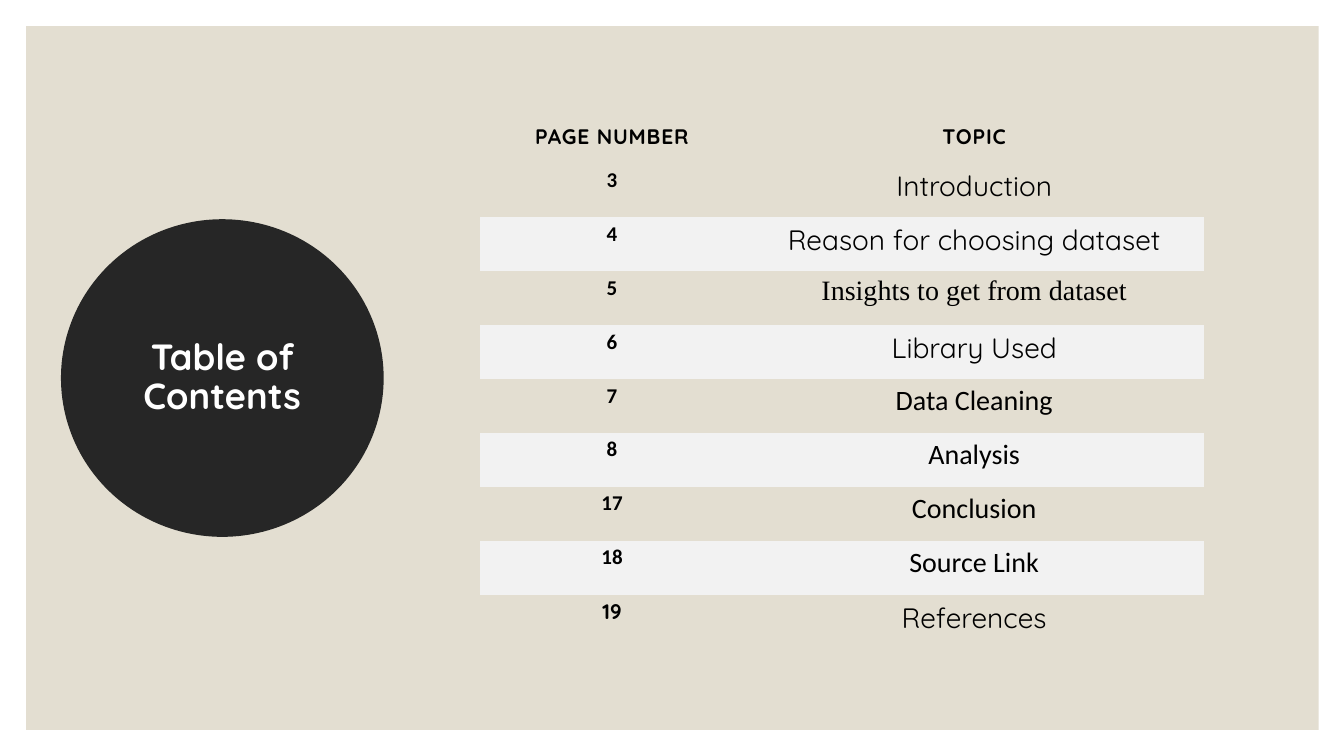
from dataclasses import dataclass

from pptx import Presentation
from pptx.dml.color import RGBColor
from pptx.enum.shapes import MSO_SHAPE
from pptx.enum.text import MSO_ANCHOR, PP_ALIGN
from pptx.oxml.ns import qn
from pptx.shapes.autoshape import Shape
from pptx.slide import Slide
from pptx.table import _Cell
from pptx.text.text import TextFrame
from pptx.util import Inches, Pt

RECTANGLE, OVAL = MSO_SHAPE.RECTANGLE, MSO_SHAPE.OVAL
CENTER = PP_ALIGN.CENTER
TOP, MIDDLE, BOTTOM = MSO_ANCHOR.TOP, MSO_ANCHOR.MIDDLE, MSO_ANCHOR.BOTTOM

SLIDE_WIDTH, SLIDE_HEIGHT = Inches(13.33), Inches(7.5)
SAND, CHARCOAL, STRIPE, WHITE, BLACK = "E3DED1", "262626", "F2F2F2", "FFFFFF", "000000"
HEADING_FONT, BODY_FONT, SERIF_FONT = "Quicksand", "Calibri", "Times New Roman"
PLAIN_TABLE_STYLE = "{2D5ABB26-0587-4C30-8999-92F81FD0307C}"


@dataclass(frozen=True)
class Box:
    """A place on the slide, in percent of its width and height."""
    left: float
    top: float
    width: float
    height: float

    def lengths(self) -> tuple[int, int, int, int]:
        return (across(self.left), down(self.top),
                across(self.width), down(self.height))


@dataclass(frozen=True)
class Entry:
    page: str
    topic: str
    topic_font: str = BODY_FONT
    page_font: str = BODY_FONT


PANEL = Box(1.95, 3.47, 96.17, 93.07)
TITLE_CIRCLE = Box(5.25, 30.27, 22.58, 39.47)
CONTENTS = Box(35.71, 14, 53.9, 71.87)
PAGE_COLUMN = 19.5
HEADER_ROW = 7.6

HEADINGS = ("PAGE NUMBER", "TOPIC")
ENTRIES = (
    Entry("3", "Introduction", HEADING_FONT),
    Entry("4", "Reason for choosing dataset", HEADING_FONT),
    Entry("5", "Insights to get from dataset", SERIF_FONT),
    Entry("6", "Library Used", HEADING_FONT),
    Entry("7", "Data Cleaning"),
    Entry("8", "Analysis"),
    Entry("17", "Conclusion"),
    Entry("18", "Source Link"),
    Entry("19", "References", HEADING_FONT, HEADING_FONT),
)


def across(percent: float) -> int:
    return round(SLIDE_WIDTH * percent / 100)


def down(percent: float) -> int:
    return round(SLIDE_HEIGHT * percent / 100)


def color(hex_value: str) -> RGBColor:
    return RGBColor.from_string(hex_value)


def write(frame: TextFrame, text: str, *, size: float, font: str = HEADING_FONT,
          fill: str = BLACK, bold: bool = False, line_spacing: float = 1.15,
          space_after: float = 10, tracking: float = 0) -> None:
    paragraph = frame.paragraphs[0]
    paragraph.alignment = CENTER
    paragraph.line_spacing = line_spacing
    paragraph.space_after = Pt(space_after)
    run = paragraph.add_run()
    run.text = text
    run.font.size = Pt(size)
    run.font.name = font
    run.font.bold = bold
    run.font.color.rgb = color(fill)
    if tracking:
        run.font._element.set("spc", str(round(tracking * 100)))


def add_filled_shape(slide: Slide, kind: MSO_SHAPE, box: Box, fill: str,
                     line_width: float = 0) -> Shape:
    shape = slide.shapes.add_shape(kind, *box.lengths())
    shape.shadow.inherit = False
    shape.fill.solid()
    shape.fill.fore_color.rgb = color(fill)
    if line_width:
        shape.line.color.rgb = color(fill)
        shape.line.width = Pt(line_width)
    else:
        shape.line.fill.background()
    return shape


def prepare_cell(cell: _Cell, anchor: MSO_ANCHOR, margin_top: float, striped: bool) -> None:
    cell.vertical_anchor = anchor
    cell.margin_left, cell.margin_right = Inches(0.08), Inches(0.06)
    cell.margin_top, cell.margin_bottom = Inches(margin_top), Inches(0.13)
    if striped:
        cell.fill.solid()
        cell.fill.fore_color.rgb = color(STRIPE)
    else:
        cell.fill.background()


def add_contents_table(slide: Slide) -> None:
    table = slide.shapes.add_table(len(ENTRIES) + 1, len(HEADINGS), *CONTENTS.lengths()).table
    table.first_row = table.horz_banding = False
    table._tbl.tblPr.find(qn("a:tableStyleId")).text = PLAIN_TABLE_STYLE

    table.columns[0].width = across(PAGE_COLUMN)
    table.columns[1].width = across(CONTENTS.width - PAGE_COLUMN)
    table.rows[0].height = down(HEADER_ROW)
    entry_height = down((CONTENTS.height - HEADER_ROW) / len(ENTRIES))

    for column, heading in enumerate(HEADINGS):
        cell = table.cell(0, column)
        prepare_cell(cell, BOTTOM, 0.13, striped=False)
        write(cell.text_frame, heading, size=15, bold=True, tracking=0.6)

    for row, entry in enumerate(ENTRIES, start=1):
        table.rows[row].height = entry_height
        page_cell, topic_cell = table.cell(row, 0), table.cell(row, 1)
        for cell in (page_cell, topic_cell):
            prepare_cell(cell, TOP, 0, striped=row % 2 == 0)
        write(page_cell.text_frame, entry.page, size=15, font=entry.page_font, bold=True)
        write(topic_cell.text_frame, entry.topic, size=20, font=entry.topic_font)


def main() -> None:
    presentation = Presentation()
    presentation.slide_width, presentation.slide_height = SLIDE_WIDTH, SLIDE_HEIGHT
    slide = presentation.slides.add_slide(presentation.slide_layouts[6])
    slide.background.fill.solid()
    slide.background.fill.fore_color.rgb = color(WHITE)

    add_filled_shape(slide, RECTANGLE, PANEL, SAND)
    circle = add_filled_shape(slide, OVAL, TITLE_CIRCLE, CHARCOAL, line_width=13.75)
    circle.text_frame.word_wrap = True
    circle.text_frame.vertical_anchor = MIDDLE
    write(circle.text_frame, "Table of Contents", size=26, fill=WHITE, bold=True,
          line_spacing=0.9, space_after=6)
    add_contents_table(slide)

    presentation.save("out.pptx")


if __name__ == "__main__":
    main()
